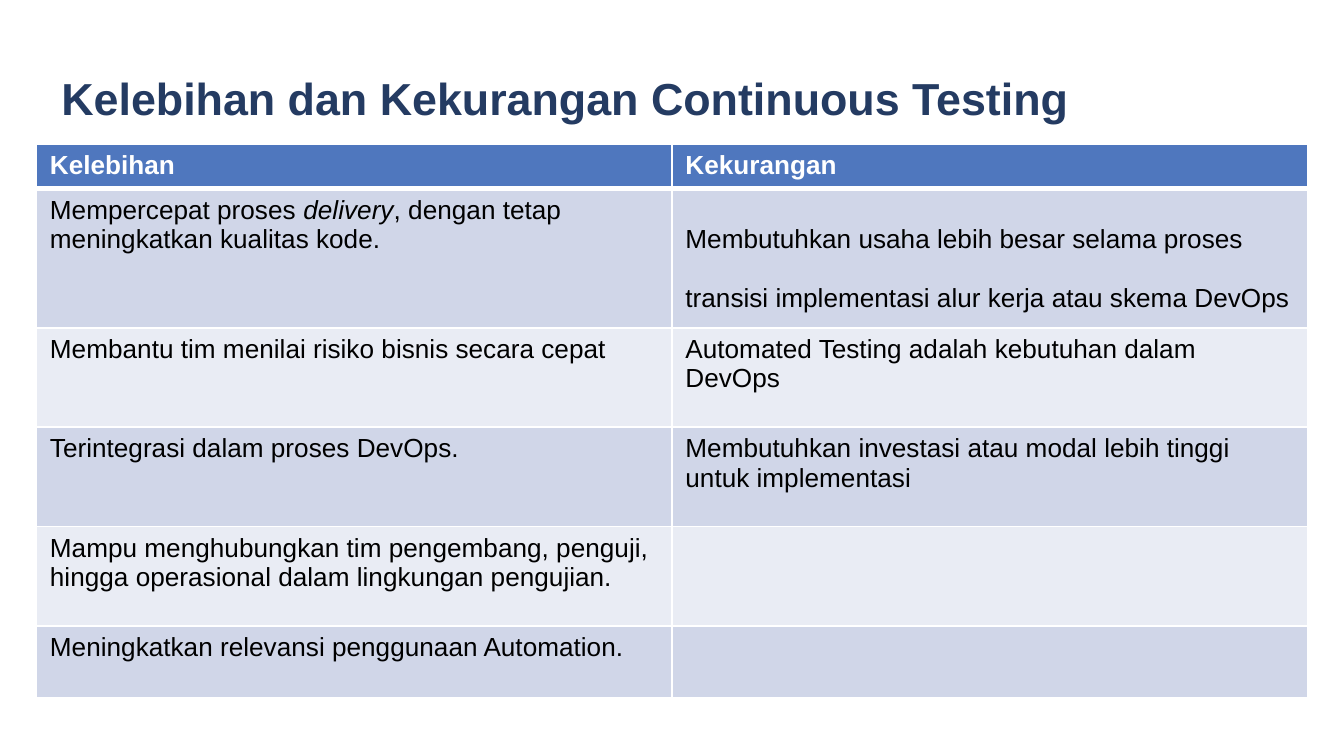
from lxml import etree
from pptx import Presentation
from pptx import util as u
from pptx.dml.color import RGBColor
from pptx.oxml import ns

TITLE = "Kelebihan dan Kekurangan Continuous Testing"
HEADINGS = ("Kelebihan", "Kekurangan")
POINTS = [
    (("Mempercepat proses ", "delivery", ", dengan tetap meningkatkan kualitas kode."),
     ("Membutuhkan usaha lebih besar selama proses transisi implementasi alur kerja atau skema DevOps",)),
    (("Membantu tim menilai risiko bisnis secara cepat",),
     ("Automated Testing adalah kebutuhan dalam DevOps",)),
    (("Terintegrasi dalam proses DevOps.",),
     ("Membutuhkan investasi atau modal lebih tinggi untuk implementasi",)),
    (("Mampu menghubungkan tim pengembang, penguji, hingga operasional dalam lingkungan pengujian.",), ()),
    (("Meningkatkan relevansi penggunaan Automation.",), ()),
]
ROWS = [tuple((heading,) for heading in HEADINGS)] + POINTS
ROW_HEIGHTS = (0.79, 1.88, 1.88, 1.88, 1.88, 1.35)
COLUMN_WIDTH = 12.01
ITALIC_WORDS = {"delivery"}
DOUBLE_SPACED = (1, 1)
COLORS = {"title": "243B62", "header": "4F77BE", "odd": "D0D6E8",
          "even": "E9ECF4", "white": "FFFFFF", "text": "000000"}


def color(name):
    return RGBColor.from_string(COLORS[name])


def set_font(paragraph, size, tone, bold):
    font = paragraph.font
    font.name, font.size, font.bold = "Arial", u.Pt(size), bold
    font.color.rgb = color(tone)


def set_borders(cell, row):
    top = 3 if row == 1 else 1
    bottom = 3 if row == 0 else 1
    properties = cell._tc.get_or_add_tcPr()
    for side, width in (("L", 1), ("R", 1), ("T", top), ("B", bottom)):
        line = etree.SubElement(properties, ns.qn(f"a:ln{side}"), w=str(u.Pt(width)))
        fill = etree.SubElement(line, ns.qn("a:solidFill"))
        etree.SubElement(fill, ns.qn("a:srgbClr"), val=COLORS["white"])


def add_title(page):
    box = page.shapes.add_textbox(u.Cm(0.91), u.Cm(1.22), u.Cm(22.48), u.Cm(1.27))
    box.text_frame.word_wrap = True
    para = box.text_frame.paragraphs[0]
    para.text = TITLE
    set_font(para, 24, "title", True)


def add_comparison(page):
    frame = page.shapes.add_table(len(ROWS), len(HEADINGS), u.Cm(0.69), u.Cm(2.72),
                                  u.Cm(COLUMN_WIDTH * len(HEADINGS)), u.Cm(sum(ROW_HEIGHTS)))
    table = frame.table
    for column in table.columns:
        column.width = u.Cm(COLUMN_WIDTH)
    for r, (height, entries) in enumerate(zip(ROW_HEIGHTS, ROWS)):
        table.rows[r].height = u.Cm(height)
        band = "header" if r == 0 else "odd" if r % 2 else "even"
        for c, pieces in enumerate(entries):
            cell = table.cell(r, c)
            set_borders(cell, r)
            cell.fill.solid()
            cell.fill.fore_color.rgb = color(band)
            para = cell.text_frame.paragraphs[0]
            set_font(para, 14, "white" if r == 0 else "text", r == 0)
            if (r, c) == DOUBLE_SPACED:
                para.line_spacing = 2.0
            for piece in pieces:
                span = para.add_run()
                span.text = piece
                if piece in ITALIC_WORDS:
                    span.font.italic = True


def main():
    deck = Presentation()
    deck.slide_width, deck.slide_height = u.Cm(25.4), u.Cm(14.29)
    page = deck.slides.add_slide(deck.slide_layouts[6])
    add_title(page)
    add_comparison(page)
    deck.save("out.pptx")


if __name__ == "__main__":
    main()
